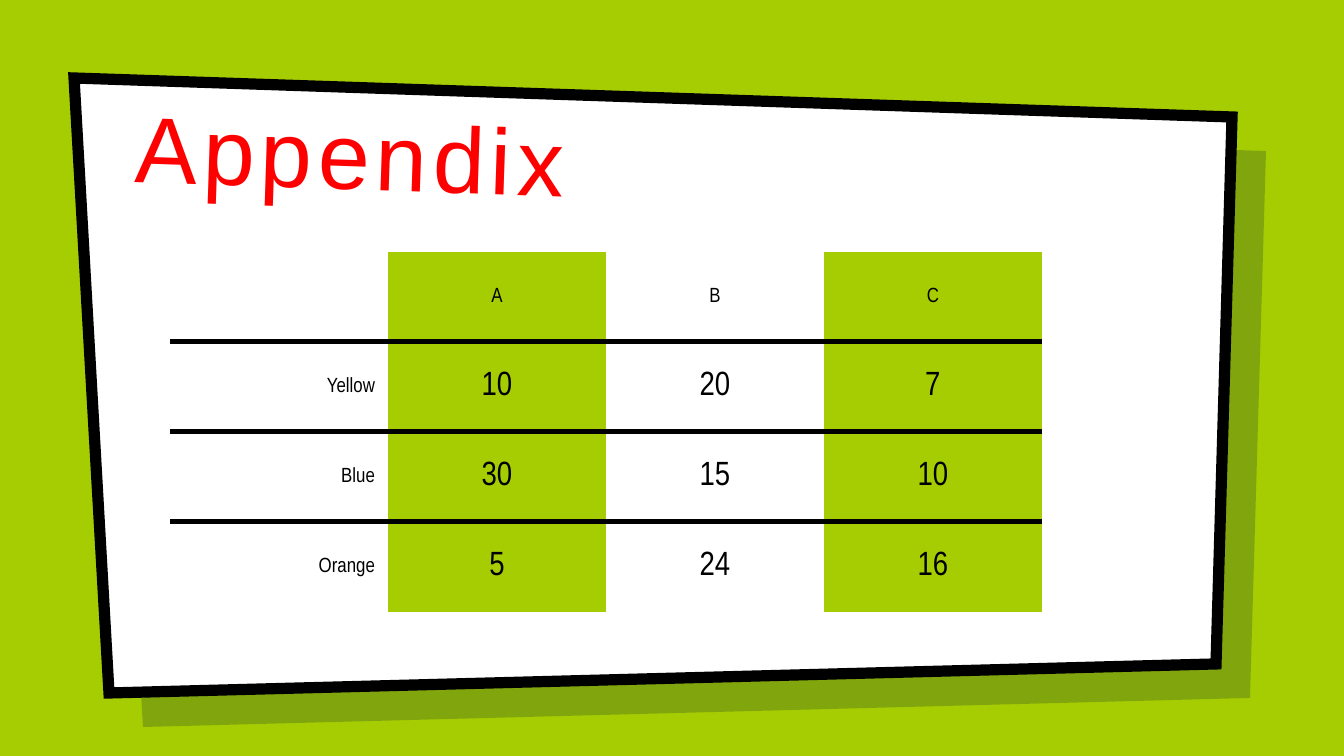
from lxml.etree import SubElement
from pptx import Presentation
from pptx.dml.color import RGBColor
from pptx.enum.text import MSO_ANCHOR, PP_ALIGN
from pptx.oxml import parse_xml
from pptx.oxml.ns import nsdecls, qn
from pptx.util import Emu, Pt

SCALE = 914400 / 134.4
HUES = {"lime": "A6CD02", "shade": "001936", "white": "FFFFFF",
        "black": "000000", "red": "FF0000"}
CARD = [(74, 78), (1232, 117), (1216, 664), (109, 693)]
DROP = 34
ROWS = [["", "A", "B", "C"],
        ["Yellow", "10", "20", "7"],
        ["Blue", "30", "15", "10"],
        ["Orange", "5", "24", "16"]]
PLAIN = "{2D5ABB26-0587-4C30-8999-92F81FD0307C}"  # no style, no grid


def px(n):
    return Emu(round(n * SCALE))


def paint(fill, hue):
    fill.solid()
    fill.fore_color.rgb = RGBColor.from_string(HUES[hue])


def add_run(para, text, size, face, hue):
    run = para.add_run()
    run.text = text
    run.font.size = Pt(size)
    run.font.name = face
    run.font.color.rgb = RGBColor.from_string(HUES[hue])
    return run


def add_card(slide, shift, hue):
    pts = [(x + shift, y + shift) for x, y in CARD]
    pen = slide.shapes.build_freeform(*pts[0], scale=SCALE)
    pen.add_line_segments(pts[1:], close=True)
    card = pen.convert_to_shape()
    card.shadow.inherit = False
    paint(card.fill, hue)
    return card


def add_title(slide, text):
    box = slide.shapes.add_textbox(px(122), px(121), px(1100), px(112))
    box.rotation = 2
    frame = box.text_frame
    frame.word_wrap = True
    frame.vertical_anchor = MSO_ANCHOR.BOTTOM
    frame.margin_left = frame.margin_right = px(13)
    frame.margin_top = frame.margin_bottom = px(13)
    run = add_run(frame.paragraphs[0], text, 50, "Arial", "red")
    run.font.size = Pt(50)
    run.font._element.set("spc", "300")


def add_rule(cell, tag, spot):
    rule = parse_xml(
        f'<a:{tag} {nsdecls("a")} w="{Pt(3)}"><a:solidFill>'
        f'<a:srgbClr val="{HUES["black"]}"/></a:solidFill></a:{tag}>')
    cell._tc.get_or_add_tcPr().insert(spot, rule)


def fill_cell(cell, text, row, col):
    cell.vertical_anchor = MSO_ANCHOR.MIDDLE
    cell.margin_left = cell.margin_right = px(13)
    cell.margin_top = cell.margin_bottom = px(9)
    if col % 2:
        paint(cell.fill, "lime")
    else:
        cell.fill.background()
    if text:
        para = cell.text_frame.paragraphs[0]
        para.alignment = PP_ALIGN.CENTER if col else PP_ALIGN.RIGHT
        add_run(para, text, 18 if row and col else 11, "Arial Narrow", "black")
    # Rules run between rows only, top before bottom
    if row < len(ROWS) - 1:
        add_rule(cell, "lnB", 0)
    if row:
        add_rule(cell, "lnT", 0)


def add_grid(slide):
    high, wide = len(ROWS), len(ROWS[0])
    table = slide.shapes.add_table(high, wide, px(170), px(252),
                                   px(218 * wide), px(90 * high)).table
    table.first_row = table.horz_banding = False
    table._tbl.tblPr.find(qn("a:tableStyleId")).text = PLAIN
    for row, words in enumerate(ROWS):
        for col, text in enumerate(words):
            fill_cell(table.cell(row, col), text, row, col)


def main():
    deck = Presentation()
    deck.slide_width, deck.slide_height = px(1344), px(756)
    slide = deck.slides.add_slide(deck.slide_layouts[6])
    paint(slide.background.fill, "lime")

    # Tilted card over its see-through shade
    shade = add_card(slide, DROP, "shade")
    shade.line.fill.background()
    tint = shade.fill._xPr.find(qn("a:solidFill"))[0]
    SubElement(tint, qn("a:alpha"), val="22000")
    card = add_card(slide, 0, "white")
    paint(card.line.fill, "black")
    card.line.width = Pt(6)
    SubElement(card.line._ln, qn("a:miter"), lim="800000")

    # Table and title
    add_grid(slide)
    add_title(slide, "Appendix")
    deck.save("out.pptx")


if __name__ == "__main__":
    main()
